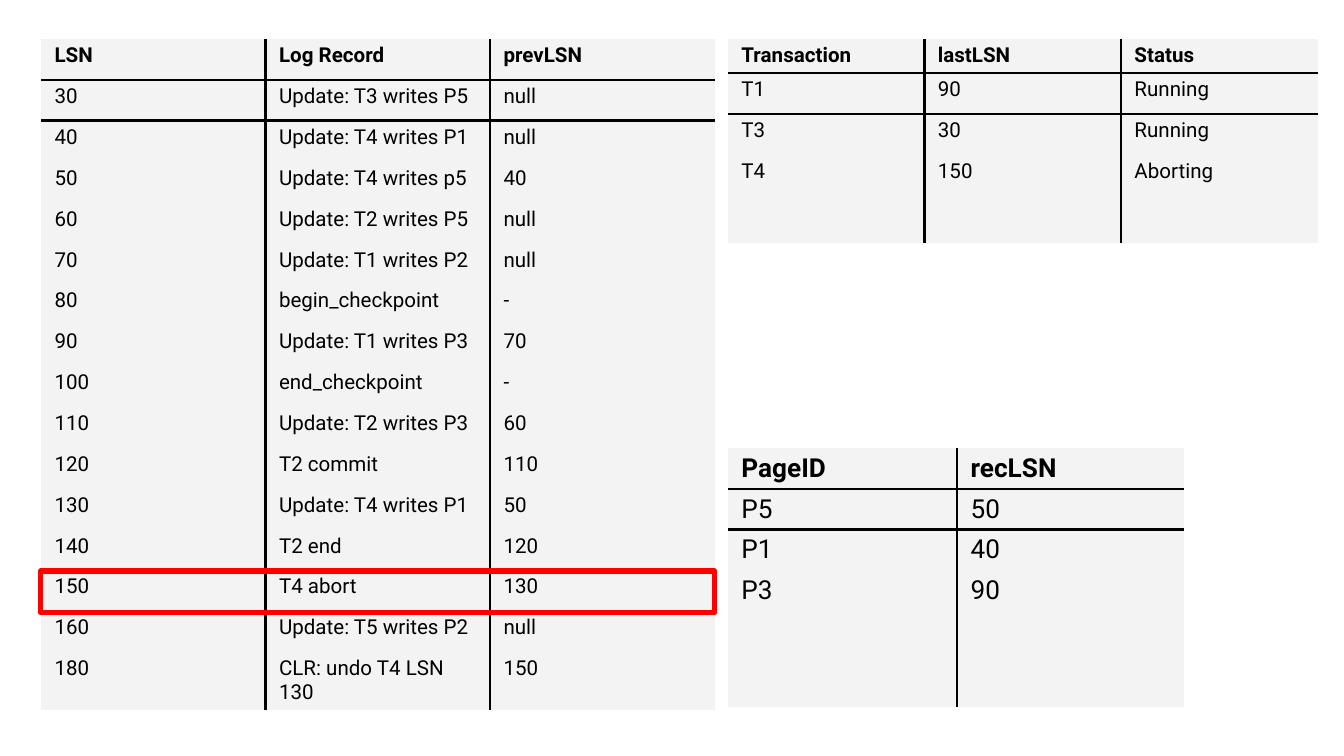
from lxml import etree
from pptx import Presentation
from pptx.dml.color import RGBColor
from pptx.enum.shapes import MSO_SHAPE
from pptx.oxml.ns import qn
from pptx.util import Pt

RECT = MSO_SHAPE.RECTANGLE
ROW = 21.9
LAST = 25.7


def ink(code):
    return RGBColor.from_string(code)


class Sheet:
    font = "Roboto"
    black = "000000"
    gray = "F3F3F3"
    red = "FF0000"
    rule = 1.5

    def __init__(self, slide):
        self.slide = slide

    def edge(self, cell, side, shown):
        props = cell._tc.get_or_add_tcPr()
        line = etree.SubElement(props, qn("a:ln" + side), w=str(Pt(self.rule)))
        if shown:
            fill = etree.SubElement(line, qn("a:solidFill"))
            etree.SubElement(fill, qn("a:srgbClr"), val=self.black)
        else:
            etree.SubElement(line, qn("a:noFill"))

    def cell(self, cell, text, size, bold, sides):
        cell.margin_left = cell.margin_right = Pt(7.2)
        cell.margin_top = cell.margin_bottom = Pt(2.6)
        for side in "LRTB":
            self.edge(cell, side, side in sides)
        cell.fill.solid()
        cell.fill.fore_color.rgb = ink(self.gray)
        cell.text_frame.text = text
        para = cell.text_frame.paragraphs[0]
        for run in para.runs:
            run.font.name = self.font
            run.font.size = Pt(size)
            run.font.bold = bold
            run.font.color.rgb = ink(self.black)
        if not text:
            para._p.get_or_add_endParaRPr().set("sz", str(size * 100))

    def table(self, left, top, wide, high, data, size):
        frame = self.slide.shapes.add_table(
            len(data), len(wide), Pt(left), Pt(top), Pt(sum(wide)), Pt(sum(high)))
        grid = frame.table
        grid.first_row = grid.horz_banding = False
        for col, width in zip(grid.columns, wide):
            col.width = Pt(width)
        for row, height in zip(grid.rows, high):
            row.height = Pt(height)
        for r, line in enumerate(data):
            for c, text in enumerate(line):
                sides = "L" if c else ""
                sides += "R" if c < len(wide) - 1 else ""
                sides += {0: "B", 1: "TB", 2: "T"}.get(r, "")
                self.cell(grid.cell(r, c), text, size, r == 0, sides)

    def frame(self, left, top, width, height):
        box = self.slide.shapes.add_shape(
            RECT, Pt(left), Pt(top), Pt(width), Pt(height))
        box.shadow.inherit = False
        box.fill.background()
        box.line.color.rgb = ink(self.red)
        box.line.width = Pt(3)


LOG = [
    ("LSN", "Log Record", "prevLSN"),
    ("30", "Update: T3 writes P5", "null"),
    ("40", "Update: T4 writes P1", "null"),
    ("50", "Update: T4 writes p5", "40"),
    ("60", "Update: T2 writes P5", "null"),
    ("70", "Update: T1 writes P2", "null"),
    ("80", "begin_checkpoint", "-"),
    ("90", "Update: T1 writes P3", "70"),
    ("100", "end_checkpoint", "-"),
    ("110", "Update: T2 writes P3", "60"),
    ("120", "T2 commit", "110"),
    ("130", "Update: T4 writes P1", "50"),
    ("140", "T2 end", "120"),
    ("150", "T4 abort", "130"),
    ("160", "Update: T5 writes P2", "null"),
    ("180", "CLR: undo T4 LSN 130", "150"),
]
TASKS = [
    ("Transaction", "lastLSN", "Status"),
    ("T1", "90", "Running"),
    ("T3", "30", "Running"),
    ("T4", "150", "Aborting"),
    ("", "", ""),
]
PAGES = [
    ("PageID", "recLSN"),
    ("P5", "50"),
    ("P1", "40"),
    ("P3", "90"),
    ("", ""),
    ("", ""),
]


def main():
    deck = Presentation()
    deck.slide_width, deck.slide_height = Pt(720), Pt(405)
    sheet = Sheet(deck.slides.add_slide(deck.slide_layouts[6]))
    sheet.table(22, 20.9, [120.3] * 3, [ROW] * 15 + [31], LOG, 11)
    sheet.table(390, 20.9, [105.3] * 3, [18.2] + [ROW] * 3 + [LAST], TASKS, 11)
    sheet.table(390, 240, [122.8, 121.6], [ROW] * 4 + [LAST] * 2, PAGES, 14)
    sheet.frame(21.8, 306, 361, 22.2)
    deck.save("out.pptx")


if __name__ == "__main__":
    main()
